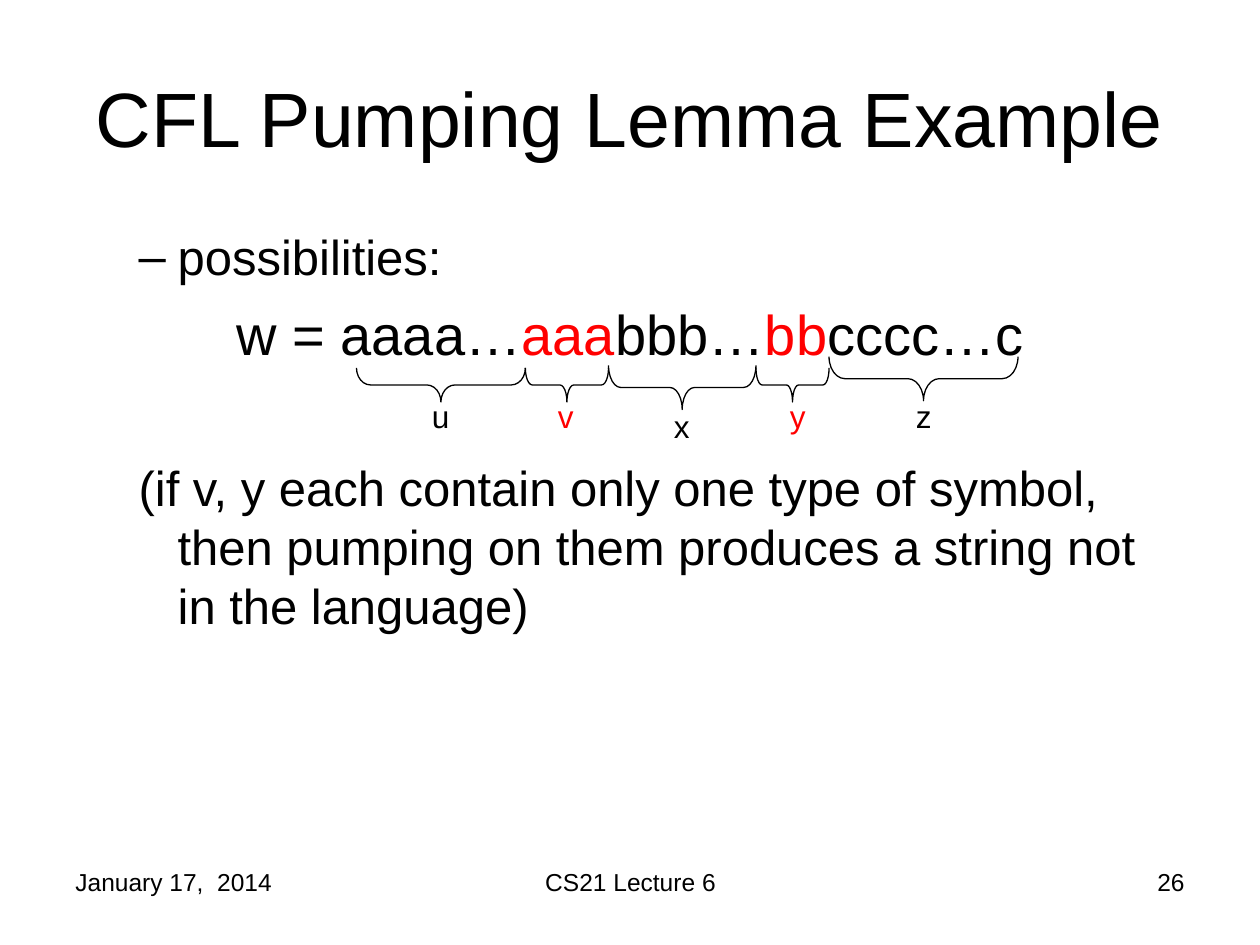
from dataclasses import dataclass

from lxml.etree import SubElement
from pptx import Presentation
from pptx.dml.color import RGBColor
from pptx.enum.shapes import MSO_SHAPE
from pptx.enum.text import MSO_ANCHOR, MSO_AUTO_SIZE, PP_ALIGN
from pptx.oxml.ns import qn
from pptx.util import Inches, Pt


@dataclass(frozen=True)
class Theme:
    font: str = "Arial"
    ink: RGBColor = RGBColor(0, 0, 0)
    pumped: RGBColor = RGBColor(0xFF, 0, 0)
    title: int = 44
    formula: int = 32
    body: int = 28
    label: int = 18
    footer: int = 14
    brace_line: float = 0.75


THEME = Theme()


@dataclass(frozen=True)
class Part:
    """A part of w: its brace spans left to right, its label sits below."""
    name: str
    left: float
    right: float
    top: float
    depth: float
    label_left: float
    label_top: float = 3.1
    color: RGBColor = THEME.ink


@dataclass(frozen=True)
class Footer:
    text: str
    left: float
    width: float
    align: PP_ALIGN


PARTS = (
    Part("u", 2.83, 4.17, 2.92, 0.27, 3.33),
    Part("v", 4.17, 4.83, 2.92, 0.27, 4.33, color=THEME.pumped),
    Part("x", 4.83, 6, 2.9, 0.35, 5.25, label_top=3.18),
    Part("y", 6, 6.58, 2.92, 0.27, 6.17, color=THEME.pumped),
    Part("z", 6.58, 8.08, 2.83, 0.35, 7.17),
)
FOOTERS = (
    Footer("January 17,  2014", 0.5, 2.33, PP_ALIGN.LEFT),
    Footer("CS21 Lecture 6", 3.42, 3.17, PP_ALIGN.CENTER),
    Footer("26", 7.17, 2.33, PP_ALIGN.RIGHT),
)
FORMULA = (
    ("w = aaaa…", THEME.ink),
    ("aaa", THEME.pumped),
    ("bbb…", THEME.ink),
    ("bb", THEME.pumped),
    ("cccc…c", THEME.ink),
)


def write(paragraph, text: str, *, size: int, color: RGBColor = THEME.ink,
          align: PP_ALIGN = PP_ALIGN.LEFT) -> None:
    """Append one formatted run to the paragraph."""
    paragraph.alignment = align
    run = paragraph.add_run()
    run.text = text
    run.font.name = THEME.font
    run.font.size = Pt(size)
    run.font.color.rgb = color


def set_list_style(paragraph, *, level: int, left: float, hanging: float,
                   before: float, bullet: str = "") -> None:
    paragraph.level = level
    paragraph.space_before = Pt(before)
    properties = paragraph._p.get_or_add_pPr()
    properties.set("marL", str(Inches(left)))
    properties.set("indent", str(-Inches(hanging)))
    if bullet:
        SubElement(properties, qn("a:buChar")).set("char", bullet)
    else:
        SubElement(properties, qn("a:buNone"))


def place(shape, left: float, top: float, width: float, height: float) -> None:
    shape.left, shape.top = Inches(left), Inches(top)
    shape.width, shape.height = Inches(width), Inches(height)


def add_text_box(slide, left: float, top: float, width: float, height: float):
    """Add a wrapping text box and return its text frame."""
    box = slide.shapes.add_textbox(Inches(left), Inches(top), Inches(width), Inches(height))
    box.text_frame.word_wrap = True
    return box.text_frame


def draw_part(slide, part: Part) -> None:
    length = part.right - part.left
    center_x = (part.left + part.right) / 2
    center_y = part.top + part.depth / 2
    # A left brace turned to point down, so its depth is its unrotated width.
    brace = slide.shapes.add_shape(
        MSO_SHAPE.LEFT_BRACE,
        Inches(center_x - part.depth / 2), Inches(center_y - length / 2),
        Inches(part.depth), Inches(length))
    brace.rotation = 270
    brace.adjustments[0] = length / 12 / part.depth
    brace.shadow.inherit = False
    brace.fill.background()
    brace.line.color.rgb = THEME.ink
    brace.line.width = Pt(THEME.brace_line)

    label = add_text_box(slide, part.label_left, part.label_top, 0.42, 0.4)
    label.auto_size = MSO_AUTO_SIZE.SHAPE_TO_FIT_TEXT
    write(label.paragraphs[0], part.name, size=THEME.label, color=part.color)


def draw_footer(slide, footer: Footer) -> None:
    frame = add_text_box(slide, footer.left, 6.83, footer.width, 0.52)
    write(frame.paragraphs[0], footer.text, size=THEME.footer, align=footer.align)


def fill_title(title) -> None:
    place(title, 0.5, 0.3, 9, 1.25)
    title.text_frame.vertical_anchor = MSO_ANCHOR.MIDDLE
    title.text_frame.auto_size = MSO_AUTO_SIZE.NONE
    write(title.text_frame.paragraphs[0], "CFL Pumping Lemma Example",
          size=THEME.title, align=PP_ALIGN.CENTER)


def fill_body(body) -> None:
    place(body, 0.5, 1.75, 9, 4.95)
    frame = body.text_frame
    frame.auto_size = MSO_AUTO_SIZE.NONE

    possibilities = frame.paragraphs[0]
    set_list_style(possibilities, level=1, left=0.81, hanging=0.31, before=7, bullet="–")
    write(possibilities, "possibilities:", size=THEME.body)

    formula = frame.add_paragraph()
    set_list_style(formula, level=0, left=0.38, hanging=0.38, before=8)
    for symbols, color in FORMULA:
        write(formula, symbols, size=THEME.formula, color=color, align=PP_ALIGN.CENTER)

    # The space before the conclusion leaves room for the braces and labels.
    conclusion = frame.add_paragraph()
    set_list_style(conclusion, level=1, left=0.81, hanging=0.31, before=52)
    write(conclusion, "(if v, y each contain only one type of symbol, then pumping "
          "on them produces a string not in the language)", size=THEME.body)


def main() -> None:
    deck = Presentation()
    deck.slide_width, deck.slide_height = Inches(10), Inches(7.5)
    slide = deck.slides.add_slide(deck.slide_layouts[1])
    fill_title(slide.shapes.title)
    fill_body(slide.placeholders[1])
    for footer in FOOTERS:
        draw_footer(slide, footer)
    for part in PARTS:
        draw_part(slide, part)
    deck.save("out.pptx")


if __name__ == "__main__":
    main()
